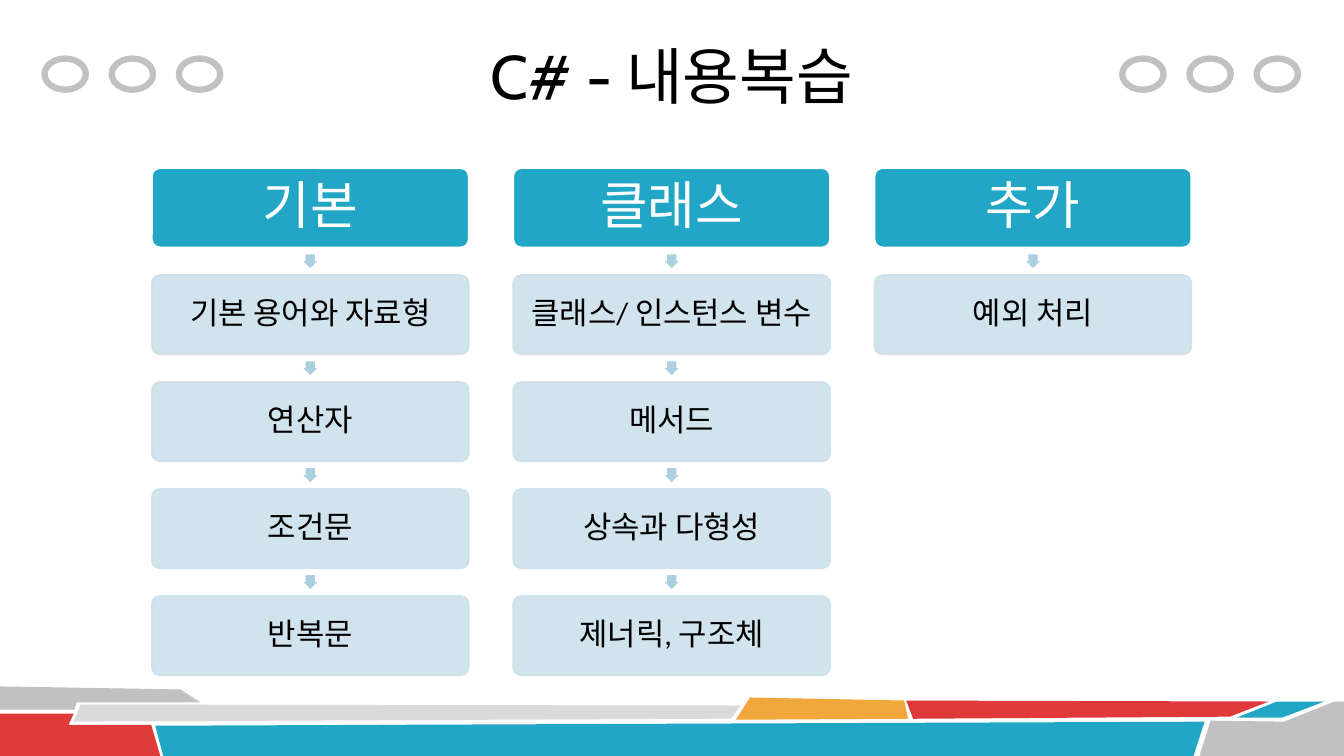
from dataclasses import dataclass

from lxml.etree import SubElement
from pptx import Presentation
from pptx.dml.color import RGBColor
from pptx.enum.shapes import MSO_SHAPE
from pptx.enum.text import MSO_ANCHOR, PP_ALIGN
from pptx.oxml.ns import qn
from pptx.util import Pt

TITLE = "C# - 내용복습"
COLUMNS = [
    ("기본", ["기본 용어와 자료형", "연산자", "조건문", "반복문"]),
    ("클래스", ["클래스/ 인스턴스 변수", "메서드", "상속과 다형성", "제너릭, 구조체"]),
    ("추가", ["예외 처리"]),
]


@dataclass(frozen=True)
class Theme:
    teal: str = "21A6C5"
    red: str = "DF3939"
    amber: str = "F0A73C"
    grey: str = "C1C1C1"
    light_grey: str = "DADADA"
    topic: str = "CDE1EA"
    arrow: str = "ACD0DF"
    white: str = "FFFFFF"
    black: str = "000000"
    title_font: str = "Cabin"
    body_font: str = "Calibri"
    title_size: int = 44
    header_size: int = 37
    topic_size: int = 22
    box_line: float = 1.25
    ring_line: float = 4.5


THEME = Theme()

# Footer ribbons, back to front: colour and corner points
RIBBONS = [
    (THEME.grey, [(0, 490.3), (128.9, 492.5), (143.3, 501.8), (54.7, 501.8),
                  (53.3, 506.9), (0, 506.9)]),
    (THEME.red, [(0, 509.8), (52.6, 509.8), (49, 517.7), (108, 517.7),
                 (114.5, 540), (0, 540)]),
    (THEME.light_grey, [(57.6, 503.3), (529.2, 504), (522, 513.4), (52.6, 515.5)]),
    (THEME.teal, [(110.9, 518.4), (860.4, 515.5), (852.5, 540), (116.6, 540)]),
    (THEME.amber, [(535.7, 498.2), (645.8, 500.4), (648.7, 513.4), (525.6, 514.1)]),
    (THEME.red, [(647.3, 500.4), (906.5, 501.1), (878.4, 511.9), (652.3, 513.4)]),
    (THEME.teal, [(912.2, 501.1), (946.1, 501.1), (915.8, 512.6), (883.4, 512.6)]),
    (THEME.grey, [(864.7, 514.8), (917.3, 515.5), (953.3, 501.1), (960, 501.1),
                  (960, 540), (856.8, 540)]),
]

SLIDE_WIDTH, SLIDE_HEIGHT = 960, 540
RING_STARTS, RING_TOP, RING_PITCH = (31.8, 801.6), 41.8, 48
RING_WIDTH, RING_HEIGHT = 29.5, 22.3
BOX_LEFT, BOX_TOP, BOX_WIDTH, BOX_HEIGHT = 108.5, 120.1, 226.3, 56.6
COLUMN_PITCH, ROW_PITCH = 258.1, 76.4
ARROW_SIZE = 9.9


def style(shape, fill=None, line=None, line_width=0, opacity=100):
    """Set fill and outline, both at the given opacity in percent."""
    shape.shadow.inherit = False
    for paint, color in ((shape.fill, fill), (shape.line.fill, line)):
        if color:
            paint.solid()
            paint.fore_color.rgb = RGBColor.from_string(color)
        else:
            paint.background()
    if line:
        shape.line.width = Pt(line_width)
    if opacity < 100:
        for color in shape.element.spPr.iter(qn("a:srgbClr")):
            SubElement(color, qn("a:alpha"), val=str(opacity * 1000))


def write(shape, text, *, font, size, color, inset, spacing=1.0):
    frame = shape.text_frame
    frame.word_wrap = True
    frame.vertical_anchor = MSO_ANCHOR.MIDDLE
    frame.margin_left = frame.margin_right = Pt(inset)
    frame.margin_top = frame.margin_bottom = Pt(inset)
    paragraph = frame.paragraphs[0]
    paragraph.text = text
    paragraph.alignment = PP_ALIGN.CENTER
    paragraph.line_spacing = spacing
    paragraph.font.name = font
    paragraph.font.size = Pt(size)
    paragraph.font.color.rgb = RGBColor.from_string(color)


def add_shape(slide, kind, left, top, width, height, **look):
    shape = slide.shapes.add_shape(kind, Pt(left), Pt(top), Pt(width), Pt(height))
    style(shape, **look)
    return shape


def add_ribbon(slide, color, points):
    corners = [(Pt(x), Pt(y)) for x, y in points]
    builder = slide.shapes.build_freeform(*corners[0])
    builder.add_line_segments(corners[1:], close=True)
    style(builder.convert_to_shape(), fill=color)


def add_box(slide, left, top, text, *, size, color, inset, **look):
    box = add_shape(slide, MSO_SHAPE.ROUNDED_RECTANGLE, left, top,
                    BOX_WIDTH, BOX_HEIGHT, line_width=THEME.box_line, **look)
    box.adjustments[0] = 0.1
    write(box, text, font=THEME.body_font, size=size, color=color,
          inset=inset, spacing=0.9)


def add_arrow_above(slide, left, top):
    """Center a down-pointing arrow in the gap above a box."""
    gap = ROW_PITCH - BOX_HEIGHT
    arrow = add_shape(slide, MSO_SHAPE.RIGHT_ARROW,
                      left + (BOX_WIDTH - ARROW_SIZE) / 2,
                      top - (gap + ARROW_SIZE) / 2,
                      ARROW_SIZE, ARROW_SIZE, fill=THEME.arrow)
    arrow.rotation = 90
    arrow.adjustments[0] = 0.67
    arrow.adjustments[1] = 0.5


def add_column(slide, left, header, topics):
    add_box(slide, left, BOX_TOP, header, size=THEME.header_size,
            color=THEME.white, inset=3.7, fill=THEME.teal, line=THEME.white)
    for row, topic in enumerate(topics, start=1):
        top = BOX_TOP + row * ROW_PITCH
        add_arrow_above(slide, left, top)
        add_box(slide, left, top, topic, size=THEME.topic_size,
                color=THEME.black, inset=2.2, fill=THEME.topic,
                line=THEME.topic, opacity=90)


def main():
    presentation = Presentation()
    presentation.slide_width = Pt(SLIDE_WIDTH)
    presentation.slide_height = Pt(SLIDE_HEIGHT)
    slide = presentation.slides.add_slide(presentation.slide_layouts[6])

    for color, points in RIBBONS:
        add_ribbon(slide, color, points)
    for start in RING_STARTS:
        for index in range(3):
            add_shape(slide, MSO_SHAPE.OVAL, start + index * RING_PITCH, RING_TOP,
                      RING_WIDTH, RING_HEIGHT, line=THEME.grey,
                      line_width=THEME.ring_line)

    title = slide.shapes.add_textbox(Pt(168), Pt(8.6), Pt(624), Pt(90))
    write(title, TITLE, font=THEME.title_font, size=THEME.title_size,
          color=THEME.black, inset=3.6)
    for index, (header, topics) in enumerate(COLUMNS):
        add_column(slide, BOX_LEFT + index * COLUMN_PITCH, header, topics)

    presentation.save("out.pptx")


if __name__ == "__main__":
    main()
